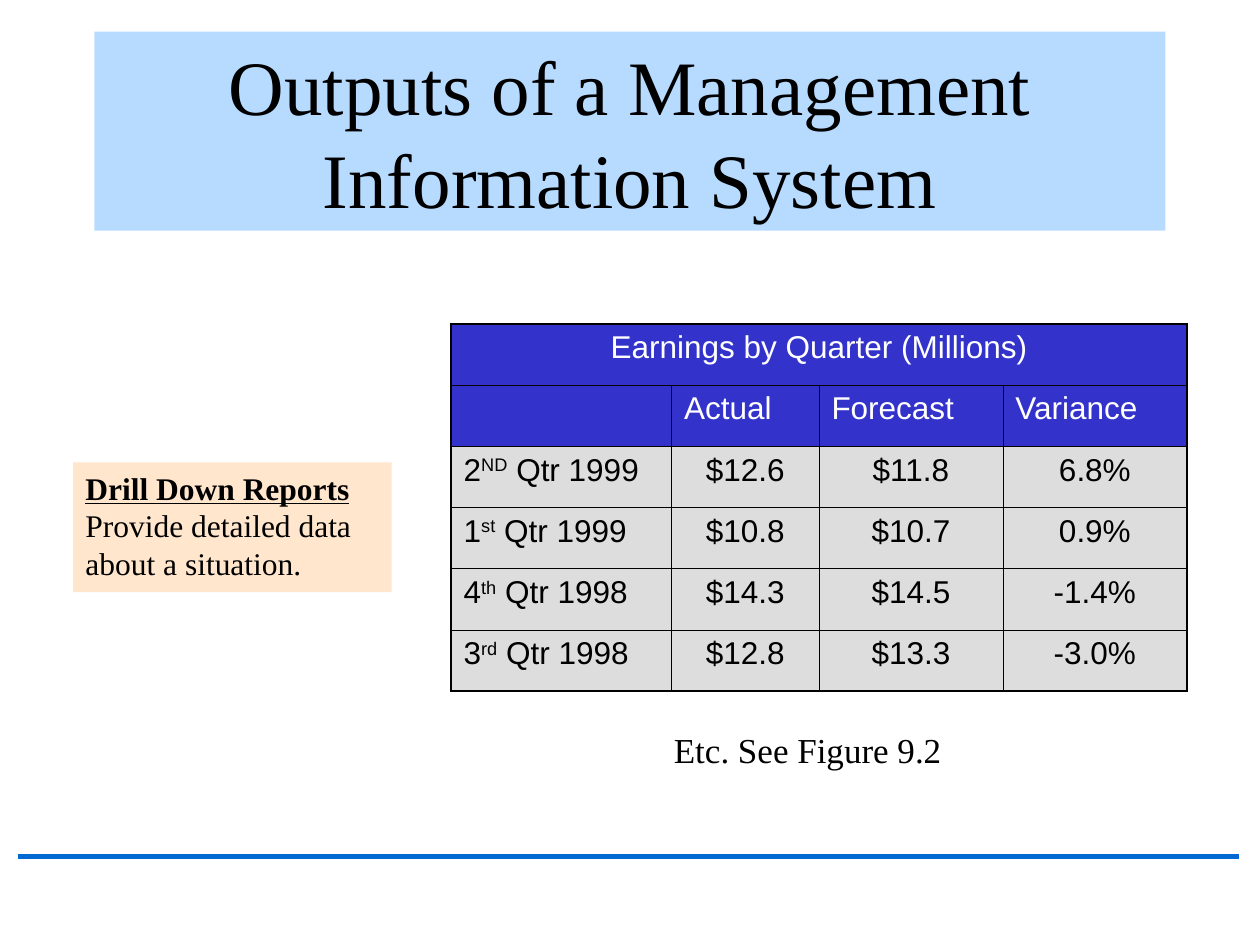
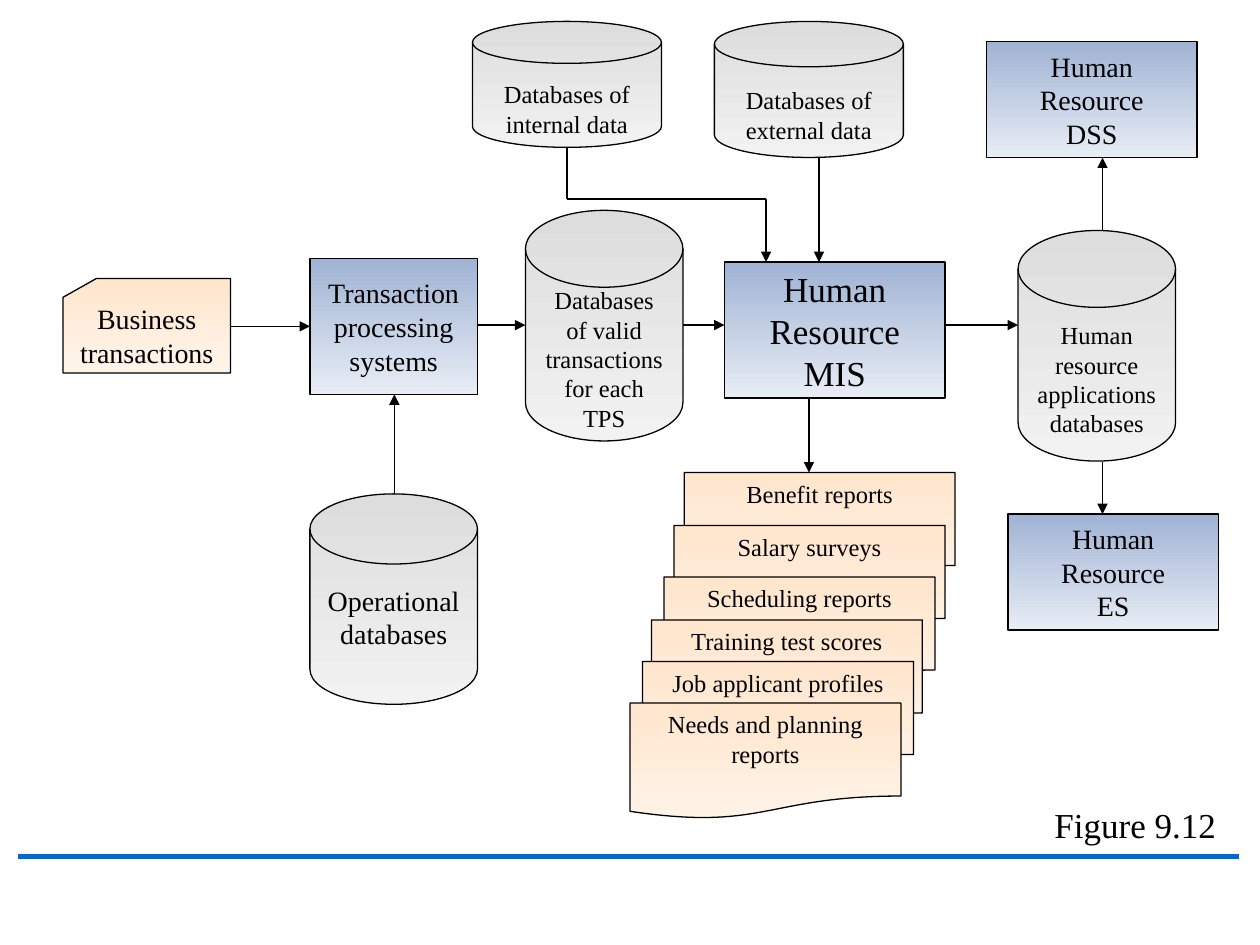
from dataclasses import dataclass

from lxml.etree import SubElement
from pptx import Presentation
from pptx.dml.color import RGBColor
from pptx.enum.shapes import MSO_CONNECTOR, MSO_SHAPE
from pptx.enum.text import MSO_ANCHOR, PP_ALIGN
from pptx.oxml.ns import qn
from pptx.util import Inches, Pt


@dataclass(frozen=True)
class Theme:
    serif: str = "Times New Roman"
    sans: str = "Arial"
    black: str = "000000"
    white: str = "FFFFFF"
    rule: str = "0069D2"
    title_band: str = "B7DBFF"
    note: str = "FFE6CD"
    header: str = "3333CC"
    body: str = "DDDDDD"
    disk: tuple = ("DDDDDD", "F2F2F2")
    system: tuple = ("A0B3D4", "E8EDF5")
    card: tuple = ("FFE6CD", "FFF4EA")
    report: tuple = ("FFE6CD", "FFF3E7")
    title_size: float = 44
    large: float = 20
    table_size: float = 18
    medium: float = 16
    small: float = 14
    outline: float = 0.75
    rule_width: float = 3
    inner_border: float = 0.45
    outer_border: float = 1.08


THEME = Theme()
BLANK_LAYOUT = 6
BLANK_LINE = 0.22

EARNINGS = [
    ["Earnings by Quarter (Millions)", "", "", ""],
    ["", "Actual", "Forecast", "Variance"],
    ["2^ND^ Qtr 1999", "$12.6", "$11.8", "6.8%"],
    ["1^st^ Qtr 1999", "$10.8", "$10.7", "0.9%"],
    ["4^th^ Qtr 1998", "$14.3", "$14.5", "-1.4%"],
    ["3^rd^ Qtr 1998", "$12.8", "$13.3", "-3.0%"],
]
COLUMN_WIDTHS = [1.75, 1.17, 1.46, 1.46]
HEADER_ROWS = 2

# Text, left, top, width, height, type size
SYSTEMS = [
    ("Transaction\nprocessing\nsystems", 2.46, 2.05, 1.33, 1.08, THEME.medium),
    ("Human\nResource\nMIS", 5.75, 2.08, 1.75, 1.08, THEME.large),
    ("Human\nResource\nDSS", 7.83, 0.33, 1.67, 0.92, THEME.medium),
    ("Human\nResource\nES", 8, 4.08, 1.67, 0.92, THEME.medium),
]
# Text, left, top, width, height
DATABASES = [
    ("Databases\nof valid\ntransactions\nfor each\nTPS", 4.17, 1.67, 1.25, 1.83),
    ("Databases of\nexternal data", 5.67, 0.17, 1.5, 1.08),
    ("Databases of\ninternal data", 3.75, 0.17, 1.5, 1),
    ("Human\nresource\napplications\ndatabases", 8.08, 1.83, 1.25, 1.83),
]
# Text, left, top; later reports lie in front
REPORTS = [
    ("Benefit reports", 5.43, 3.75),
    ("Salary surveys", 5.35, 4.17),
    ("Scheduling reports", 5.27, 4.58),
    ("Training test scores", 5.17, 4.92),
    ("Job applicant profiles", 5.1, 5.25),
    ("Needs and planning\nreports", 5, 5.58),
]
FLOWS = [
    (1.83, 2.59, 2.46, 2.59),
    (3.79, 2.58, 4.17, 2.58),
    (5.42, 2.58, 5.75, 2.58),
    (7.5, 2.58, 8.08, 2.58),
    (3.13, 3.92, 3.13, 3.13),
    (6.5, 1.25, 6.5, 2.08),
    (8.75, 3.67, 8.75, 4.08),
    (8.75, 1.83, 8.75, 1.25),
    (6.42, 3.17, 6.42, 3.75),
]
INTERNAL_DATA_PATH = [(4.5, 1.17), (4.5, 1.58), (6.08, 1.58), (6.08, 2.08)]


def rgb(color):
    return RGBColor.from_string(color)


def write_text(tf, text, size=THEME.medium, font=THEME.serif, color=THEME.black,
               align=PP_ALIGN.CENTER, bold=False, underline=False, before=0):
    """Append one paragraph per line; text between carets is superscript."""
    for line in text.split("\n"):
        p = tf.paragraphs[0]
        if p.runs:
            p = tf.add_paragraph()
        p.alignment = align
        p.space_before = Pt(before)
        for i, part in enumerate(line.split("^")):
            r = p.add_run()
            r.text = part
            r.font.name = font
            r.font.size = Pt(size)
            r.font.bold = bold
            r.font.underline = underline
            r.font.color.rgb = rgb(color)
            if i % 2:
                r.font._element.set("baseline", "30000")


def add_box(s, kind, left, top, width, height, fill, outlined=True,
            anchor=MSO_ANCHOR.MIDDLE, wrap=False):
    """Add a shape with a solid (string) or top-to-bottom (pair) fill."""
    sp = s.shapes.add_shape(kind, *map(Inches, (left, top, width, height)))
    sp.shadow.inherit = False
    if isinstance(fill, str):
        sp.fill.solid()
        sp.fill.fore_color.rgb = rgb(fill)
    else:
        sp.fill.gradient()
        sp.fill.gradient_angle = 270
        for stop, position, color in zip(sp.fill.gradient_stops, (0, 1), fill):
            stop.position = position
            stop.color.rgb = rgb(color)
    if outlined:
        sp.line.color.rgb = rgb(THEME.black)
        sp.line.width = Pt(THEME.outline)
    else:
        sp.line.fill.background()
    sp.text_frame.word_wrap = wrap
    sp.text_frame.vertical_anchor = anchor
    return sp


def add_line(s, x1, y1, x2, y2, color=THEME.black, width=THEME.outline, arrow=False):
    line = s.shapes.add_connector(MSO_CONNECTOR.STRAIGHT,
                                  *map(Inches, (x1, y1, x2, y2)))
    line.line.color.rgb = rgb(color)
    line.line.width = Pt(width)
    if arrow:
        SubElement(line.line._get_or_add_ln(), qn("a:tailEnd"), type="triangle")
    SubElement(line._element.spPr, qn("a:effectLst"))


def add_caption(s, text, left, top, width, height, align):
    tf = s.shapes.add_textbox(*map(Inches, (left, top, width, height))).text_frame
    tf.word_wrap = True
    write_text(tf, text, size=THEME.large, align=align, before=12.5)


def add_slide(prs):
    s = prs.slides.add_slide(prs.slide_layouts[BLANK_LAYOUT])
    add_line(s, 0.14, 6.8, 9.83, 6.8, color=THEME.rule, width=THEME.rule_width)
    return s


def add_title(s, text):
    sp = add_box(s, MSO_SHAPE.RECTANGLE, 0.75, 0.25, 8.5, 1.58,
                 THEME.title_band, outlined=False, wrap=True)
    write_text(sp.text_frame, text, size=THEME.title_size)


def set_borders(cell, outer_sides):
    tc_pr = cell._tc.get_or_add_tcPr()
    for side in "LRTB":
        width = THEME.outer_border if side in outer_sides else THEME.inner_border
        ln = SubElement(tc_pr, qn(f"a:ln{side}"), w=str(Pt(width)))
        SubElement(SubElement(ln, qn("a:solidFill")), qn("a:srgbClr"), val=THEME.black)


def add_earnings_table(s, left, top, row_height):
    n_rows, n_cols = len(EARNINGS), len(COLUMN_WIDTHS)
    table = s.shapes.add_table(n_rows, n_cols, Inches(left), Inches(top),
                               Inches(sum(COLUMN_WIDTHS)),
                               Inches(row_height * n_rows)).table
    table.first_row = table.horz_banding = False
    for column, width in zip(table.columns, COLUMN_WIDTHS):
        column.width = Inches(width)
    for row in table.rows:
        row.height = Inches(row_height)
    table.cell(0, 0).merge(table.cell(0, n_cols - 1))

    for i, texts in enumerate(EARNINGS):
        is_header = i < HEADER_ROWS
        for j, text in enumerate(texts):
            cell = table.cell(i, j)
            edges = {"L": j == 0, "R": j == n_cols - 1 or i == 0,
                     "T": i == 0, "B": i == n_rows - 1}
            set_borders(cell, [side for side, outer in edges.items() if outer])
            cell.fill.solid()
            cell.fill.fore_color.rgb = rgb(THEME.header if is_header else THEME.body)
            if text:
                centred = i == 0 or (not is_header and j > 0)
                write_text(cell.text_frame, text, size=THEME.table_size,
                           font=THEME.sans, before=4.5,
                           color=THEME.white if is_header else THEME.black,
                           align=PP_ALIGN.CENTER if centred else PP_ALIGN.LEFT)


def add_disk(s, text, left, top, width, height, size=THEME.small, lowered=BLANK_LINE):
    sp = add_box(s, MSO_SHAPE.FLOWCHART_MAGNETIC_DISK, left, top, width, height,
                 THEME.disk)
    sp.text_frame.margin_top = Inches(0.05 + lowered)
    write_text(sp.text_frame, text, size=size)


def build_outputs_slide(prs):
    s = add_slide(prs)
    add_title(s, "Outputs of a Management Information System")
    add_earnings_table(s, 3.58, 2.57, 0.486)
    add_caption(s, "Etc. See Figure 9.2", 5.25, 5.73, 2.67, 0.44, PP_ALIGN.LEFT)
    note = add_box(s, MSO_SHAPE.RECTANGLE, 0.58, 3.67, 2.53, 1.03, THEME.note,
                   outlined=False, anchor=MSO_ANCHOR.TOP, wrap=True)
    write_text(note.text_frame, "Drill Down Reports", size=THEME.table_size,
               align=PP_ALIGN.LEFT, bold=True, underline=True)
    write_text(note.text_frame, "Provide detailed data about a situation.",
               size=THEME.table_size, align=PP_ALIGN.LEFT)


def build_human_resource_slide(prs):
    s = add_slide(prs)
    card = add_box(s, MSO_SHAPE.FLOWCHART_CARD, 0.5, 2.21, 1.33, 0.75, THEME.card)
    write_text(card.text_frame, "Business\ntransactions")
    for text, left, top, width, height, size in SYSTEMS:
        sp = add_box(s, MSO_SHAPE.RECTANGLE, left, top, width, height, THEME.system)
        write_text(sp.text_frame, text, size=size)
    add_disk(s, "Operational\ndatabases", 2.46, 3.92, 1.33, 1.67,
             size=THEME.medium, lowered=0)
    for database in DATABASES:
        add_disk(s, *database)
    for text, left, top in REPORTS:
        sp = add_box(s, MSO_SHAPE.FLOWCHART_DOCUMENT, left, top, 2.15, 0.92,
                     THEME.report, anchor=MSO_ANCHOR.TOP)
        write_text(sp.text_frame, text, size=THEME.small)
    for flow in FLOWS:
        add_line(s, *flow, arrow=True)
    for start, end in zip(INTERNAL_DATA_PATH, INTERNAL_DATA_PATH[1:]):
        add_line(s, *start, *end, arrow=end == INTERNAL_DATA_PATH[-1])
    add_caption(s, "Figure 9.12", 7.92, 6.33, 1.83, 0.44, PP_ALIGN.RIGHT)


def main():
    prs = Presentation()
    prs.slide_width, prs.slide_height = Inches(10), Inches(7.5)
    build_outputs_slide(prs)
    build_human_resource_slide(prs)
    prs.save("out.pptx")


if __name__ == "__main__":
    main()
